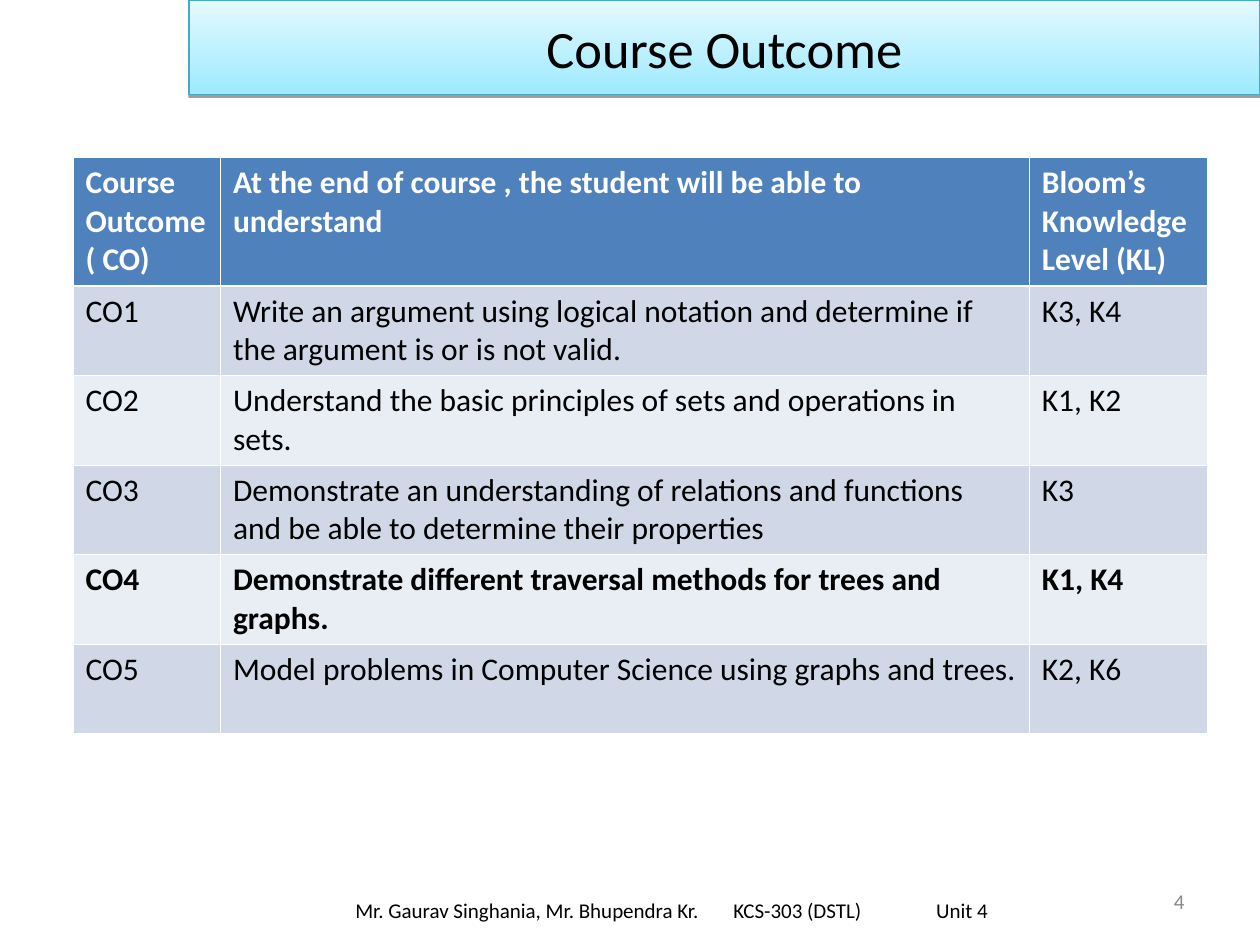
from lxml.etree import SubElement
from pptx import Presentation
from pptx.dml.color import RGBColor
from pptx.enum.shapes import MSO_SHAPE
from pptx.enum.text import MSO_ANCHOR, PP_ALIGN
from pptx.oxml import parse_xml
from pptx.oxml.ns import nsdecls, qn
from pptx.util import Inches, Pt


def color(code):
    return RGBColor.from_string(code)


def write(frame, text, size=18, ink="000000", bold=False, align=PP_ALIGN.LEFT, tabs=()):
    frame.word_wrap = True
    para = frame.paragraphs[0]
    para.alignment = align
    if tabs:
        stops = SubElement(para._p.get_or_add_pPr(), qn("a:tabLst"))
        for stop in tabs:
            SubElement(stops, qn("a:tab"), pos=str(Inches(stop)), algn="l")
    run = para.add_run()
    run.text = text
    run.font.name = "Calibri"
    run.font.size = Pt(size)
    run.font.bold = bold
    run.font.color.rgb = color(ink)


deck = Presentation()
deck.slide_width = Inches(10)
deck.slide_height = Inches(7.5)
slide = deck.slides.add_slide(deck.slide_layouts[6])
shapes = slide.shapes

rows = [
    ("Course Outcome ( CO)", "At the end of course , the student will be able to understand",
     "Bloom’s Knowledge Level (KL)"),
    ("CO1", "Write an argument using logical notation and determine if the argument is or is not valid.",
     "K3, K4"),
    ("CO2", "Understand the basic principles of sets and operations in sets.", "K1, K2"),
    ("CO3", "Demonstrate an understanding of relations and functions and be able to determine their properties",
     "K3"),
    ("CO4", "Demonstrate different traversal methods for trees and graphs.", "K1, K4"),
    ("CO5", "Model problems in Computer Science using graphs and trees.", "K2, K6"),
]
table = shapes.add_table(
    len(rows), 3, Inches(0.58), Inches(1.25), Inches(9), Inches(4.58)).table
for col, width in zip(table.columns, (1.17, 6.42, 1.41)):
    col.width = Inches(width)
for i, row in enumerate(rows):
    table.rows[i].height = Inches(0.71 if i else 1.02)
    fill = ("E9EDF4" if i % 2 == 0 else "D0D8E8") if i else "4F81BD"
    for j, text in enumerate(row):
        cell = table.cell(i, j)
        write(cell.text_frame, text, ink="000000" if i else "FFFFFF", bold=i in (0, 4))
        for side in "LRTB":
            thick = (i, side) in ((0, "B"), (1, "T"))
            line = SubElement(cell._tc.get_or_add_tcPr(), qn("a:ln" + side),
                              w=str(Pt(1.5 if thick else 0.5)))
            solid = SubElement(line, qn("a:solidFill"))
            SubElement(solid, qn("a:srgbClr"), val="FFFFFF")
        cell.fill.solid()
        cell.fill.fore_color.rgb = color(fill)

page = shapes.add_textbox(Inches(7.17), Inches(6.95), Inches(2.33), Inches(0.4)).text_frame
page.vertical_anchor = MSO_ANCHOR.MIDDLE
write(page, "4", size=12, ink="898989", align=PP_ALIGN.RIGHT)

title = shapes.add_shape(
    MSO_SHAPE.RECTANGLE, Inches(1.5), Inches(0), Inches(8.5), Inches(0.75))
title.fill.gradient()
title.fill.gradient_angle = 90
for stop, code, place in zip(title.fill.gradient_stops, ("9EEAFF", "E4F9FF"), (0, 1)):
    stop.color.rgb = color(code)
    stop.position = place
title.line.color.rgb = color("46AAC5")
title.line.width = Pt(0.75)
title._element.spPr.append(parse_xml(
    f'<a:effectLst {nsdecls("a")}>'
    f'<a:outerShdw blurRad="0" dist="{Pt(1.6)}" dir="5400000" rotWithShape="0">'
    '<a:srgbClr val="000000"><a:alpha val="38000"/></a:srgbClr>'
    '</a:outerShdw></a:effectLst>'))
title.text_frame.vertical_anchor = MSO_ANCHOR.MIDDLE
write(title.text_frame, "Course Outcome", size=30, align=PP_ALIGN.CENTER)

foot = shapes.add_textbox(Inches(2.58), Inches(7.02), Inches(5.5), Inches(0.4)).text_frame
foot.vertical_anchor = MSO_ANCHOR.MIDDLE
foot.margin_left = Inches(0.24)
write(foot, "Mr. Gaurav Singhania, Mr. Bhupendra Kr.\tKCS-303 (DSTL)\tUnit 4",
      size=12, tabs=(3, 4.61))

deck.save("out.pptx")
